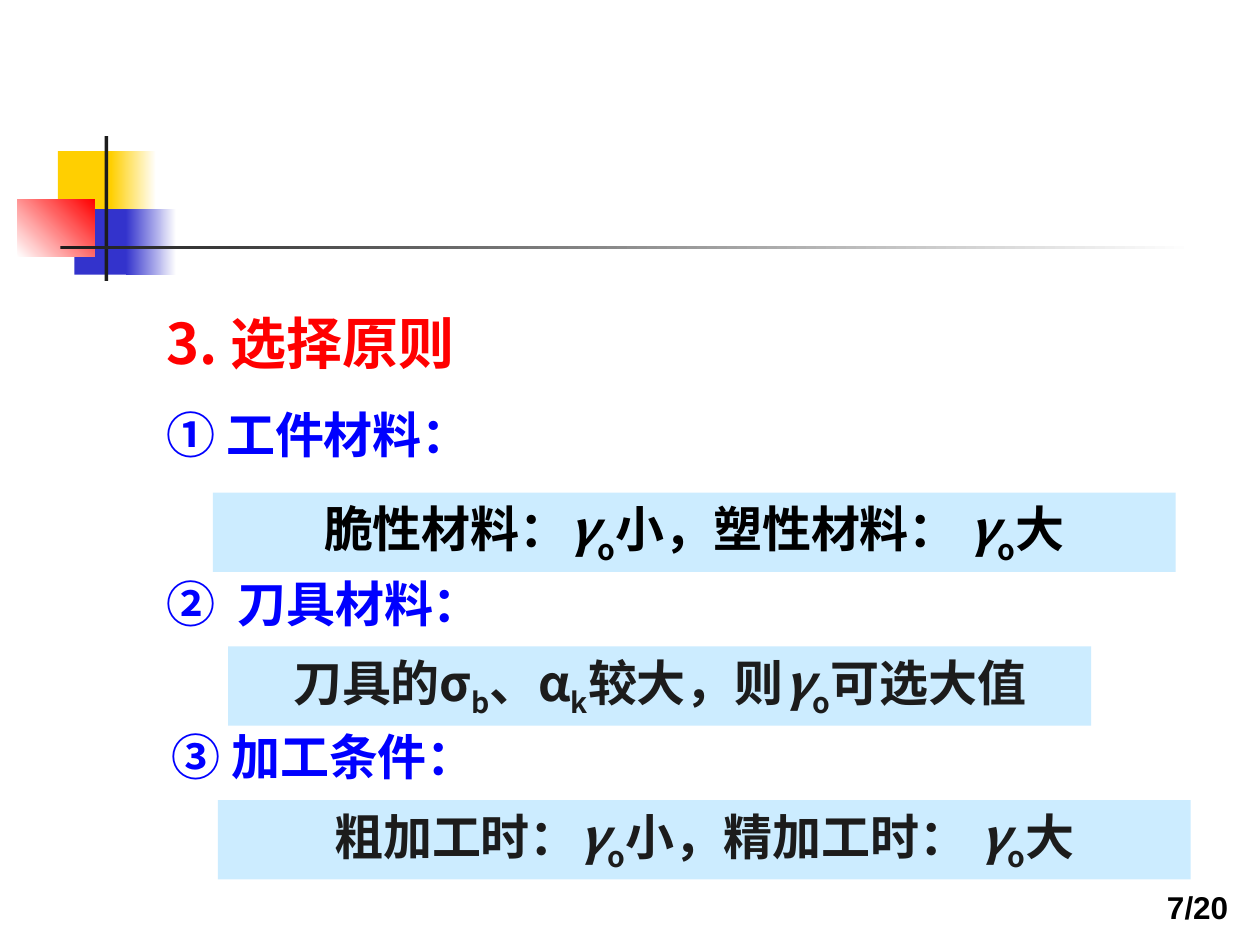
from dataclasses import dataclass

import pptx
import pptx.dml.color
import pptx.enum.shapes
import pptx.enum.text
import pptx.oxml.ns
import pptx.util
from lxml import etree

Inches = pptx.util.Inches
Align = pptx.enum.text.PP_ALIGN
Anchor = pptx.enum.text.MSO_ANCHOR

SANS = "Arial"
CJK = "Noto Sans CJK SC"
YELLOW, BLUE, RED = "FFCF01", "3333CC", "FF0000"
WHITE, BLACK, INK = "FFFFFF", "000000", "1C1C1C"
HEADING_BLUE, PANEL_BLUE = "0000FF", "CCECFF"


@dataclass(frozen=True)
class Area:
    left: float
    top: float
    width: float
    height: float

    def lengths(self) -> list:
        return [Inches(n) for n in (self.left, self.top, self.width, self.height)]


@dataclass(frozen=True)
class Block:
    area: Area
    start: str
    end: str = ""
    angle: float = 0


@dataclass(frozen=True)
class Label:
    area: Area
    text: str
    size: int = 28
    color: str = HEADING_BLUE
    font: str = SANS
    align: Align = Align.LEFT
    anchor: Anchor = Anchor.TOP


@dataclass(frozen=True)
class Panel:
    area: Area
    wording: tuple
    color: str = INK


BLOCKS = [
    Block(Area(0.46, 1.2, 0.48, 0.52), YELLOW),
    Block(Area(0.88, 1.2, 0.36, 0.52), YELLOW, WHITE),
    Block(Area(0.59, 1.66, 0.46, 0.52), BLUE),
    Block(Area(1, 1.66, 0.4, 0.52), BLUE, WHITE),
    Block(Area(0.14, 1.58, 0.61, 0.46), WHITE, RED, 45),
    Block(Area(0.83, 1.08, 0.03, 1.15), INK),
    Block(Area(0.48, 1.95, 9, 0.03), INK, WHITE),
]

LABELS = [
    Label(Area(1.22, 2.29, 8.52, 0.74), "3. 选择原则", size=32, color=RED,
          font=CJK, anchor=Anchor.BOTTOM),
    Label(Area(1.22, 3.16, 9, 0.66), "① 工件材料："),
    Label(Area(1.22, 4.5, 6.85, 0.57), "②  刀具材料："),
    Label(Area(1.26, 5.72, 7.01, 0.57), "③ 加工条件："),
    Label(Area(9.01, 7, 0.99, 0.5), "7/20", size=18, color=BLACK,
          align=Align.CENTER),
]

RAKE = ("γ", "_o")
PANELS = [
    Panel(Area(1.69, 3.91, 7.64, 0.63),
          ("脆性材料：", *RAKE, "小，塑性材料： ", *RAKE, "大"), BLACK),
    Panel(Area(1.81, 5.13, 6.85, 0.63),
          ("刀具的", "σ", "_b", "、α", "_k", "较大，则", *RAKE, "可选大值")),
    Panel(Area(1.73, 6.35, 7.72, 0.63),
          ("粗加工时：", *RAKE, "小，精加工时： ", *RAKE, "大")),
]


def rgb(value: str) -> pptx.dml.color.RGBColor:
    return pptx.dml.color.RGBColor.from_string(value)


def add_span(para, text: str, *, size: int = 28, color: str = INK, font: str = SANS,
             italic: bool = False, subscript: bool = False) -> None:
    span = para.add_run()
    span.text = text
    span.font.size = pptx.util.Pt(size)
    span.font.bold = True
    span.font.italic = italic
    span.font.color.rgb = rgb(color)
    span.font.name = font
    properties = span._r.get_or_add_rPr()
    east_asian = etree.SubElement(properties, pptx.oxml.ns.qn("a:ea"))
    east_asian.set("typeface", CJK)
    if subscript:
        properties.set("baseline", "-25000")


def add_block(page, block: Block):
    box = page.shapes.add_shape(
        pptx.enum.shapes.MSO_SHAPE.RECTANGLE, *block.area.lengths())
    box.shadow.inherit = False
    box.line.fill.background()
    if block.end:
        box.fill.gradient()
        box.fill.gradient_angle = block.angle
        for stop, color in zip(box.fill.gradient_stops, (block.start, block.end)):
            stop.color.rgb = rgb(color)
    else:
        box.fill.solid()
        box.fill.fore_color.rgb = rgb(block.start)
    return box


def add_label(page, label: Label) -> None:
    frame = page.shapes.add_textbox(*label.area.lengths()).text_frame
    frame.word_wrap = True
    frame.vertical_anchor = label.anchor
    para = frame.paragraphs[0]
    para.alignment = label.align
    add_span(para, label.text, size=label.size, color=label.color, font=label.font)


def add_panel(page, panel: Panel) -> None:
    frame = add_block(page, Block(panel.area, PANEL_BLUE)).text_frame
    frame.word_wrap = True
    frame.vertical_anchor = Anchor.TOP
    para = frame.paragraphs[0]
    para.alignment = Align.CENTER
    for index, text in enumerate(panel.wording):
        add_span(para, text.removeprefix("_"), color=panel.color,
                 font=CJK if index else SANS, italic=text == "γ",
                 subscript=text.startswith("_"))


def main() -> None:
    deck = pptx.Presentation()
    deck.slide_width, deck.slide_height = Inches(10), Inches(7.5)
    page = deck.slides.add_slide(deck.slide_layouts[6])
    for block in BLOCKS:
        add_block(page, block)
    for panel in PANELS:
        add_panel(page, panel)
    for label in LABELS:
        add_label(page, label)
    deck.save("out.pptx")


if __name__ == "__main__":
    main()
